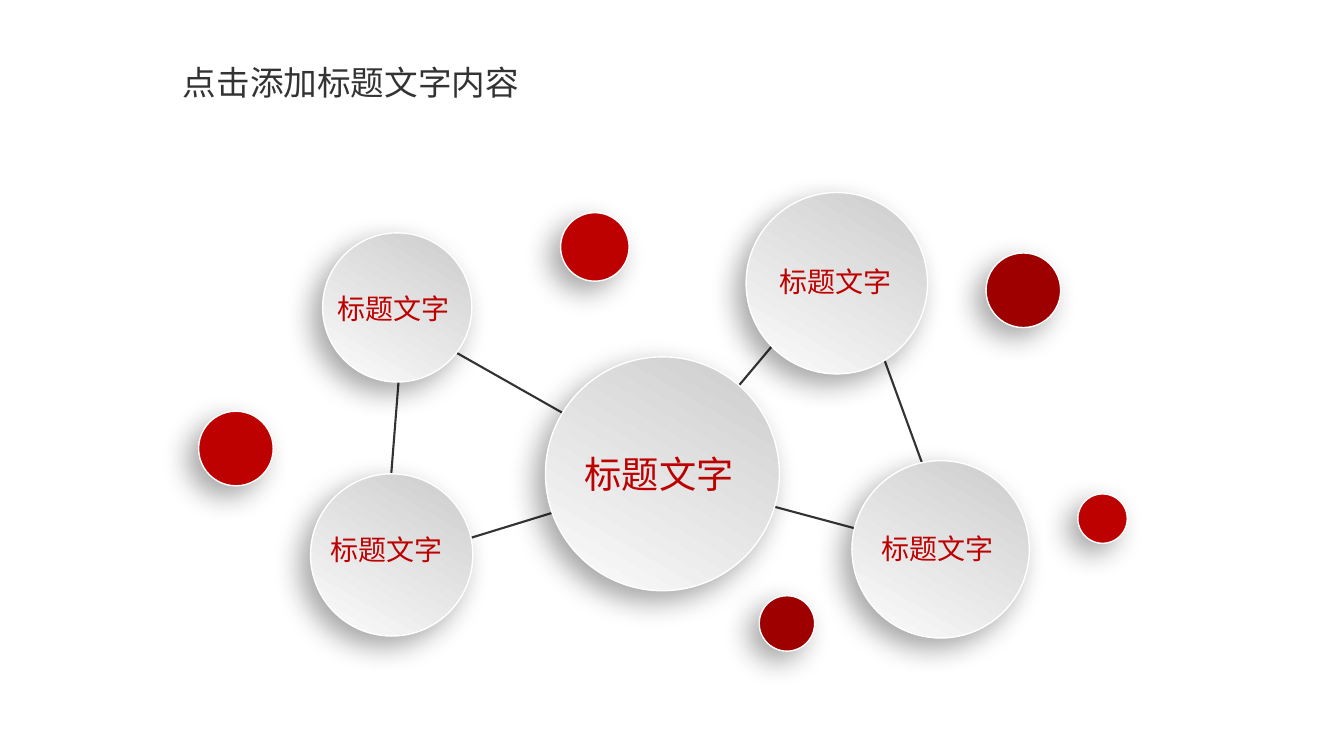
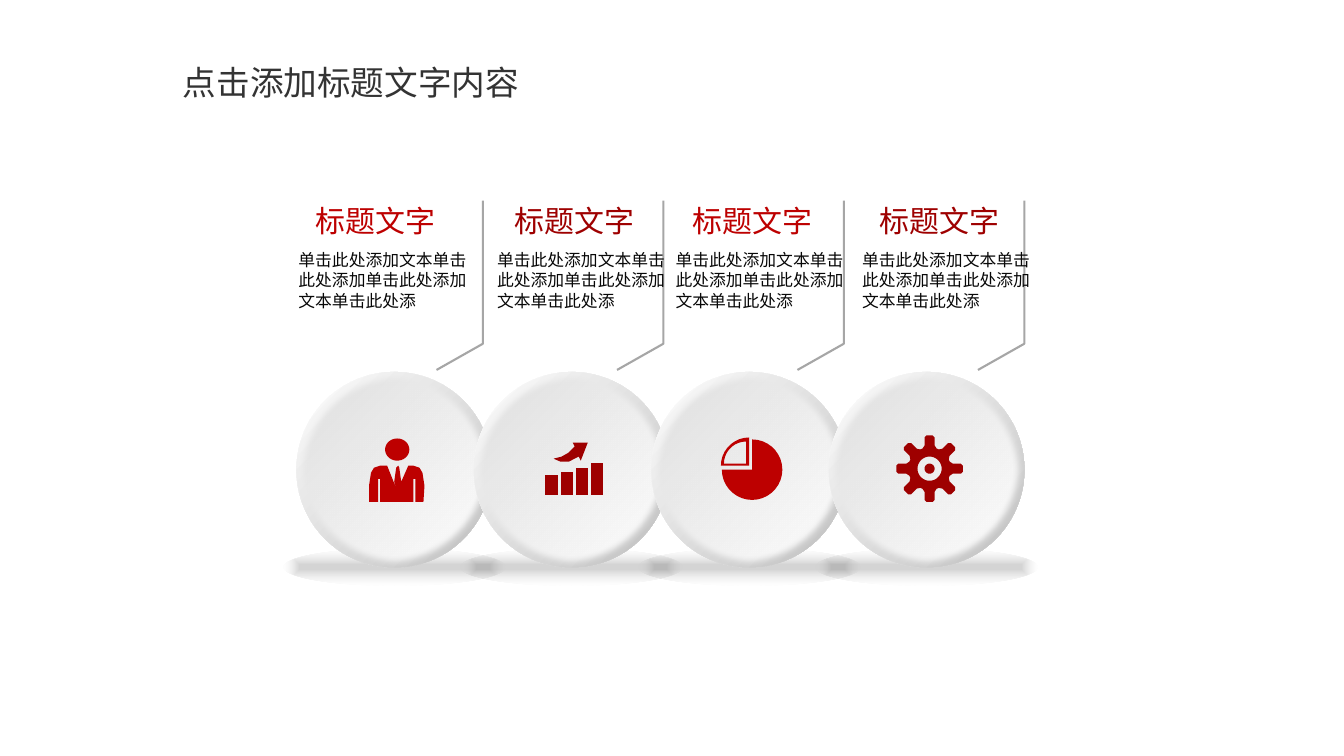
import math
from pptx import Presentation
from pptx import util as u
from pptx.dml.color import RGBColor
from pptx.enum import shapes, text
from pptx.oxml import parse_xml
from pptx.oxml.ns import nsdecls, qn

INK = {"red": "BD0000", "wine": "9E0000", "title": "333333", "body": "080808",
       "line": "A6A6A6", "web": "333333", "rim": "FFFFFF", "dark": "CCCCCC",
       "light": "FCFCFC", "edge": "BFBFBF", "face": "DEDEDE", "white": "FFFFFF",
       "core": "8D8D8D", "fade": "D9D9D9"}
RGB = {name: RGBColor.from_string(code) for name, code in INK.items()}
FONT = "Noto Sans CJK SC"
HEAD = "标题文字"
BODY = "单击此处添加文本单击此处添加单击此处添加文本单击此处添"
OVAL = shapes.MSO_SHAPE.OVAL
MID = text.PP_ALIGN.CENTER


def write(frame, words, size, ink, align=text.PP_ALIGN.LEFT):
    """Fill a text frame with one run, in Latin and East Asian font alike."""
    para = frame.paragraphs[0]
    para.alignment = align
    run = para.add_run()
    run.text = words
    run.font.size = u.Pt(size)
    run.font.color.rgb = RGB[ink]
    run.font.name = FONT
    run.font._element.append(parse_xml(f'<a:ea {nsdecls("a")} typeface="{FONT}"/>'))


def trace(slide, parts, fill=None, line=None, close=True):
    """Draw one outline from lists of points in inches; later lists cut holes."""
    pen = None
    for part in parts:
        pts = [(u.Inches(x), u.Inches(y)) for x, y in part]
        if pen is None:
            pen = slide.shapes.build_freeform(*pts[0])
        else:
            pen.move_to(*pts[0])
        pen.add_line_segments(pts[1:], close=close)
    form = pen.convert_to_shape()
    form.shadow.inherit = False
    if fill:
        form.fill.solid()
        form.fill.fore_color.rgb = RGB[fill]
    else:
        form.fill.background()
    if line:
        form.line.color.rgb = RGB[line]
        form.line.width = u.Pt(1.5)
    else:
        form.line.fill.background()


deck = Presentation()
deck.slide_width, deck.slide_height = u.Inches(13.33), u.Inches(7.5)
pages = []
for _ in range(2):
    page = deck.slides.add_slide(deck.slide_layouts[5])
    title = page.shapes.title
    title.left, title.top = u.Inches(1.02), u.Inches(0.56)
    title.width, title.height = u.Inches(4.92), u.Inches(0.53)
    title.text_frame.auto_size = text.MSO_AUTO_SIZE.NONE
    title.text_frame.vertical_anchor = text.MSO_ANCHOR.TOP
    write(title.text_frame, "点击添加标题文字内容", 24, "title", MID)
    pages.append(page)
web, steps = pages

# Slide 1: linked discs
trace(web, [[(4, 3.2), (6.61, 4.68), (8.4, 2.55), (9.48, 5.51),
             (6.61, 4.74), (3.81, 5.6)]], line="web")
discs = [(5.41, 3.54, 2.32, None), (7.4, 1.91, 1.8, None), (3.2, 2.31, 1.48, None),
         (3.08, 4.7, 1.61, None), (8.45, 4.57, 1.76, None), (7.53, 5.91, 0.55, "wine"),
         (1.97, 4.08, 0.74, "red"), (9.78, 2.51, 0.74, "wine"),
         (10.69, 4.9, 0.49, "red"), (5.56, 2.11, 0.68, "red")]
for x, y, size, ink in discs:
    disc = web.shapes.add_shape(OVAL, u.Inches(x), u.Inches(y), u.Inches(size), u.Inches(size))
    if ink:
        disc.fill.solid()
        disc.fill.fore_color.rgb = RGB[ink]
    else:
        disc.fill.gradient()
        disc.fill.gradient_angle = 240
        for stop, tone in zip(disc.fill.gradient_stops, ("dark", "light")):
            stop.color.rgb = RGB[tone]
    disc.line.color.rgb = RGB["rim"]
    disc.line.width = u.Pt(1)
    disc.shadow.inherit = False
    disc._element.spPr.find(qn("a:effectLst")).append(parse_xml(
        f'<a:outerShdw {nsdecls("a")} blurRad="{u.Pt(20)}" dist="{u.Pt(10)}" '
        f'dir="{136 * 60000}" algn="ctr" rotWithShape="0">'
        '<a:srgbClr val="000000"><a:alpha val="34000"/></a:srgbClr></a:outerShdw>'))

labels = [(5.7, 4.43, 1.68, 0.58, 26.6), (7.63, 2.58, 1.31, 0.46, 20),
          (8.64, 5.22, 1.31, 0.46, 20), (3.25, 2.84, 1.31, 0.46, 20),
          (3.18, 5.23, 1.31, 0.46, 20)]
for *box, size in labels:
    label = web.shapes.add_textbox(*[u.Inches(v) for v in box])
    label.text_frame.word_wrap = False
    write(label.text_frame, HEAD, size, "red")

# Slide 2: four steps; icons are lists of outlines
# Unit circle, clockwise from the top in steps of 10 degrees
turn = [(math.sin(math.radians(a)), -math.cos(math.radians(a))) for a in range(0, 361, 10)]

head = [(3.94 + 0.12 * x, 4.46 + 0.11 * y) for x, y in turn]
suit = [(3.66, 4.98), (3.66, 4.82), (3.68, 4.69), (3.71, 4.64), (3.77, 4.62), (3.84, 4.62),
        (3.94, 4.87), (3.91, 4.78), (3.93, 4.64), (3.95, 4.62), (3.96, 4.64), (3.98, 4.78),
        (3.94, 4.87), (4.05, 4.62), (4.1, 4.62), (4.16, 4.64), (4.19, 4.69), (4.21, 4.82),
        (4.2, 4.98), (4.12, 4.98), (4.12, 4.75), (4.1, 4.75), (4.1, 4.98), (3.77, 4.98),
        (3.77, 4.75), (3.75, 4.75), (3.75, 4.98)]

bars = [[(x, 4.91), (x, top), (x + 0.12, top), (x + 0.12, 4.91)]
        for x, top in ((5.41, 4.71), (5.56, 4.68), (5.71, 4.64), (5.86, 4.59))]
arrow = [(5.7, 4.43), (5.64, 4.49), (5.57, 4.53), (5.49, 4.55), (5.56, 4.58), (5.64, 4.58),
         (5.74, 4.53), (5.76, 4.57), (5.83, 4.39), (5.68, 4.39)]

pie = [(7.46, 4.66)] + [(7.46 + 0.3 * x, 4.66 + 0.3 * y) for x, y in turn[:28]]
slice_out, slice_in = [
    [(cx, cy)] + [(cx + r * x, cy + r * y) for x, y in turn[27:]]
    for cx, cy, r in ((7.43, 4.62, 0.28), (7.4, 4.6, 0.22))]

tooth = [(-0.07, -0.2), (-0.05, -0.23), (-0.05, -0.31), (-0.03, -0.33),
         (0.03, -0.33), (0.05, -0.31), (0.05, -0.23), (0.07, -0.2)]
gear = [(9.22 + x * math.cos(a) - y * math.sin(a), 4.65 + x * math.sin(a) + y * math.cos(a))
        for a in (k * math.pi / 4 for k in range(8)) for x, y in tooth]
hole, hub = [[(9.22 + r * x, 4.65 + r * y) for x, y in turn] for r in (0.12, 0.05)]

icons = [[[head], [suit]], [[bar] for bar in bars] + [[arrow]],
         [[pie], [slice_out, slice_in]], [[gear, hole, hub]]]
inks = ["red", "wine", "red", "wine"]

for i, (icon, ink) in enumerate(zip(icons, inks)):
    left = 2.94 + 1.76 * i
    rounds = [((left - 0.13, 5.44, 2.2, 0.37), "core", "fade"),
              ((left, 3.69, 1.94, 1.94), "white", "edge"),
              ((left, 3.69, 1.94, 1.94), "face", "white")]
    for box, start, end in rounds:
        ball = steps.shapes.add_shape(OVAL, *[u.Inches(v) for v in box])
        ball.line.fill.background()
        ball.shadow.inherit = False
        ball.fill.gradient()
        ball.fill.gradient_angle = 315
        for stop, tone in zip(ball.fill.gradient_stops, (start, end)):
            stop.color.rgb = RGB[tone]
        props = ball._element.spPr
        if start == "core":
            ball.fill.gradient_stops[0].position = 0.13
            for tone, alpha in zip(props.iter(qn("a:srgbClr")), (37000, 0)):
                tone.append(parse_xml(f'<a:alpha {nsdecls("a")} val="{alpha}"/>'))
            grad = props.find(qn("a:gradFill"))
            grad.replace(grad.find(qn("a:lin")), parse_xml(
                f'<a:path {nsdecls("a")} path="shape"><a:fillToRect '
                'l="50000" t="50000" r="50000" b="50000"/></a:path>'))
        elif start == "face":
            props.find(qn("a:effectLst")).append(parse_xml(
                f'<a:softEdge {nsdecls("a")} rad="{u.Pt(5)}"/>'))
    for parts in icon:
        trace(steps, parts, fill=ink)
    bend = 4.33 + 1.79 * i
    trace(steps, [[(bend, 3.67), (bend + 0.46, 3.41), (bend + 0.46, 1.99)]],
          line="line", close=False)

for left, ink in zip((2.96, 4.93, 6.7, 8.55), inks):
    notes = [((left, 2.48, 1.79, 0.66), BODY, 12, "body", text.PP_ALIGN.LEFT, 0.1, 0.05),
             ((left + 0.17, 2.01, 1.19, 0.38), HEAD, 21.4, ink, MID, 0, 0)]
    for box, words, size, tone, align, right, low in notes:
        note = steps.shapes.add_textbox(*[u.Inches(v) for v in box])
        frame = note.text_frame
        frame.margin_left = frame.margin_top = 0
        frame.margin_right, frame.margin_bottom = u.Inches(right), u.Inches(low)
        frame.word_wrap = words == BODY
        write(frame, words, size, tone, align)

deck.save("out.pptx")
